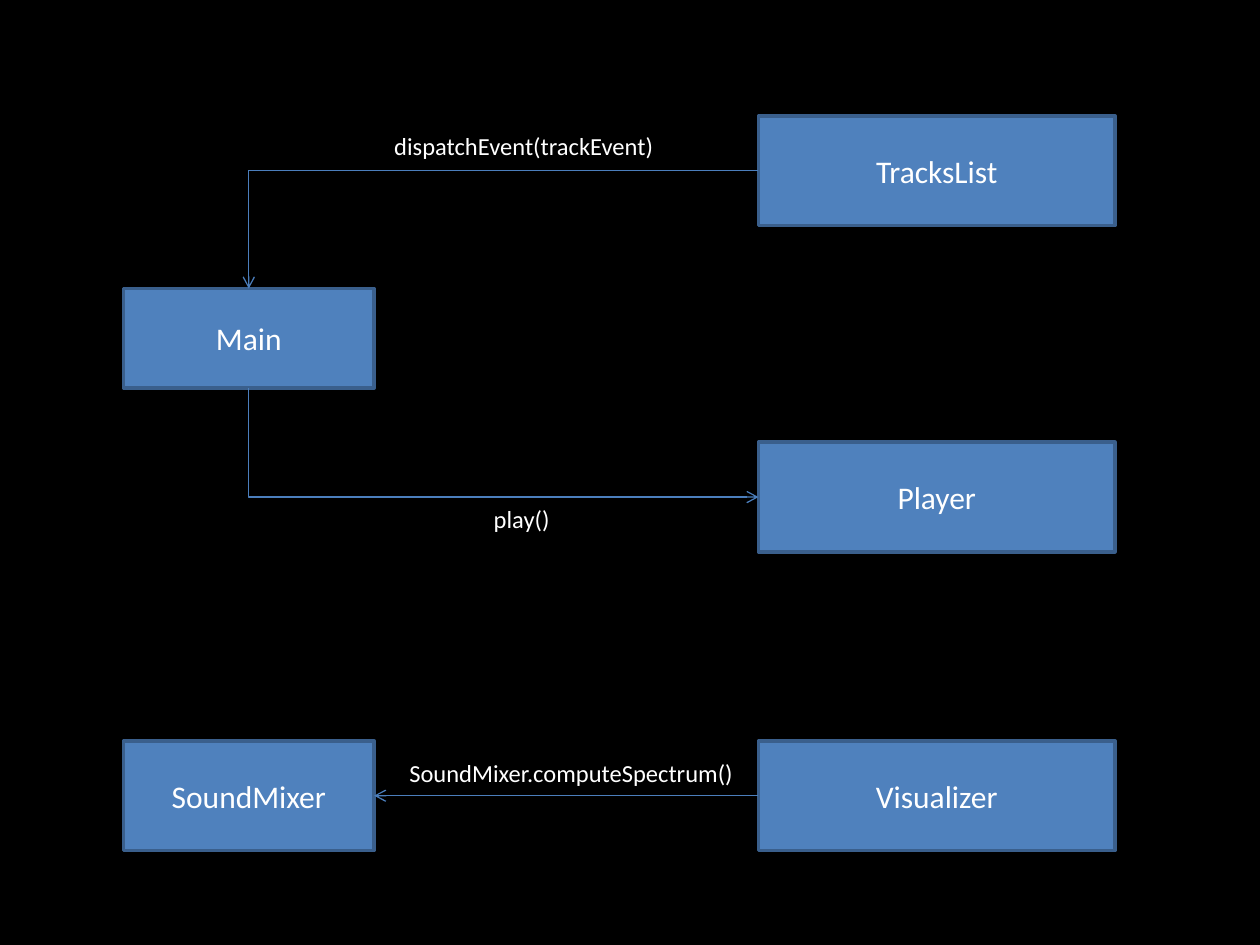
import pptx
import pptx.util
import pptx.dml.color
import pptx.enum.shapes
import pptx.enum.text
import pptx.oxml
import pptx.oxml.ns

Inches = pptx.util.Inches
Pt = pptx.util.Pt
KIND = pptx.enum.shapes.MSO_CONNECTOR
ALIGN = pptx.enum.text.PP_ALIGN
FONT = "Calibri"
HEX = {"back": "000000", "box": "4F81BD", "edge": "3A5F8C",
       "link": "4B7EBC", "text": "FFFFFF"}
TOP, LEFT, BOTTOM, RIGHT = range(4)  # connection sites of a rectangle


def paint(fill, name):
    fill.solid()
    fill.fore_color.rgb = pptx.dml.color.RGBColor.from_string(HEX[name])


def write(frame, text, size=18, align=ALIGN.CENTER,
          anchor=pptx.enum.text.MSO_ANCHOR.MIDDLE, wrap=True):
    frame.word_wrap = wrap
    frame.vertical_anchor = anchor
    para = frame.paragraphs[0]
    para.alignment = align
    run = para.add_run()
    run.text = text
    run.font.name = FONT
    run.font.size = Pt(size)
    paint(run.font.fill, "text")


def add_box(slide, text, x, y, w, h=0.87):
    box = slide.shapes.add_shape(
        pptx.enum.shapes.MSO_SHAPE.RECTANGLE,
        Inches(x), Inches(y), Inches(w), Inches(h))
    box.shadow.inherit = False
    paint(box.fill, "box")
    paint(box.line.fill, "edge")
    box.line.width = Pt(2)
    write(box.text_frame, text)
    return box


def add_label(slide, text, x, y, w):
    label = slide.shapes.add_textbox(
        Inches(x), Inches(y), Inches(w), Inches(0.34))
    write(label.text_frame, text, size=14, align=ALIGN.LEFT,
          anchor=pptx.enum.text.MSO_ANCHOR.TOP, wrap=False)
    label.text_frame.auto_size = pptx.enum.text.MSO_AUTO_SIZE.SHAPE_TO_FIT_TEXT


def add_link(slide, start, exit, end, entry, kind=KIND.STRAIGHT):
    link = slide.shapes.add_connector(kind, 0, 0, 0, 0)
    link.begin_connect(start, exit)
    link.end_connect(end, entry)
    paint(link.line.fill, "link")
    link.line.width = Pt(0.75)
    # Open arrowhead at the end, no shadow
    ns = pptx.oxml.ns.nsdecls("a")
    link.line._get_or_add_ln().append(
        pptx.oxml.parse_xml(f'<a:tailEnd {ns} type="arrow"/>'))
    link._element.spPr.append(pptx.oxml.parse_xml(f"<a:effectLst {ns}/>"))
    return link


def add_bend(slide, start, exit, end, entry):
    """Link with a single corner."""
    link = add_link(slide, start, exit, end, entry, KIND.ELBOW)
    props = link._element.spPr
    props.find(pptx.oxml.ns.qn("a:prstGeom")).set("prst", "bentConnector2")
    if exit == BOTTOM:
        # Turn the frame about its centre so the first leg runs downwards
        w, h = link.width, link.height
        shift = (w - h) // 2
        link.left, link.top = link.left + shift, link.top - shift
        link.width, link.height = h, w
        frame = props.find(pptx.oxml.ns.qn("a:xfrm"))
        frame.set("rot", str(270 * 60000))
        frame.set("flipH", "1")


def main():
    deck = pptx.Presentation()
    deck.slide_width, deck.slide_height = Inches(10), Inches(7.5)
    slide = deck.slides.add_slide(deck.slide_layouts[6])
    paint(slide.background.fill, "back")

    # Classes: callers and helpers in two columns
    near, far = 0.98, 6.02
    tracks, player, visual = [
        add_box(slide, name, far, y, 2.83)
        for name, y in (("TracksList", 0.92), ("Player", 3.51),
                        ("Visualizer", 5.88))]
    hub = add_box(slide, "Main", near, 2.29, 1.99, 0.79)
    mixer = add_box(slide, "SoundMixer", near, 5.88, 1.99)

    # Calls
    add_bend(slide, tracks, LEFT, hub, TOP)
    add_bend(slide, hub, BOTTOM, player, LEFT)
    add_link(slide, visual, LEFT, mixer, RIGHT)

    # Call names
    add_label(slide, "dispatchEvent(trackEvent)", 3.03, 0.99, 2.28)
    add_label(slide, "play()", 3.82, 3.95, 0.65)
    add_label(slide, "SoundMixer.computeSpectrum()", 3.15, 5.97, 2.79)

    deck.save("out.pptx")


if __name__ == "__main__":
    main()
